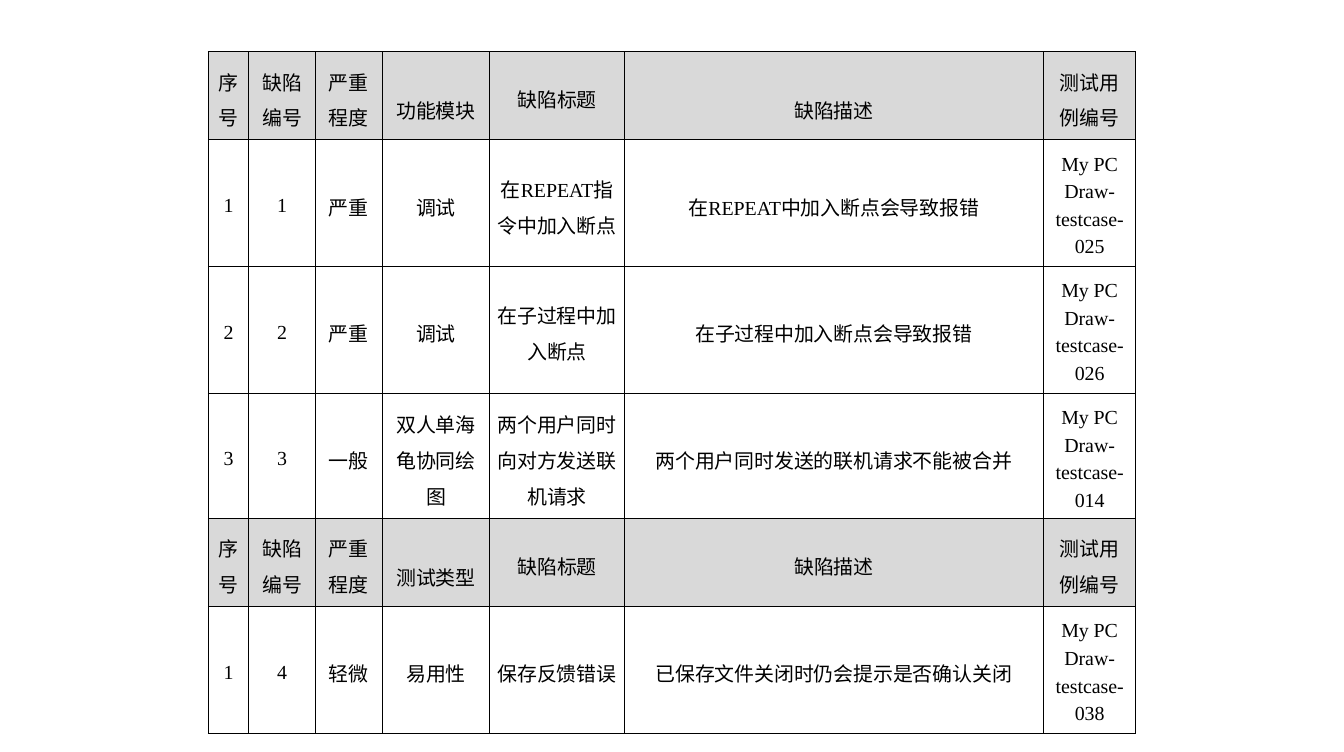
from dataclasses import dataclass
from itertools import groupby

from lxml import etree
from pptx import Presentation
from pptx.dml.color import RGBColor
from pptx.enum.text import MSO_ANCHOR, PP_ALIGN
from pptx.oxml.ns import qn
from pptx.util import Cm, Pt

CENTER = PP_ALIGN.CENTER
MIDDLE = MSO_ANCHOR.MIDDLE

BLACK = RGBColor(0x00, 0x00, 0x00)
WHITE = RGBColor(0xFF, 0xFF, 0xFF)
HEADER_GRAY = RGBColor(0xD9, 0xD9, 0xD9)

CHINESE_FONT = "Noto Sans CJK SC"
LATIN_FONT = "Times New Roman"

TABLE_LEFT = 3.87
COLUMN_WIDTHS = (0.75, 1.24, 1.24, 2, 2.5, 7.79, 1.71)
HEADER_HEIGHT = 1.61
BODY_HEIGHT = 2.33
SIDE_MARGIN = 0.13
END_MARGIN = 0.15
HEADER_DROP = 0.41


@dataclass(frozen=True)
class Defect:
    number: str
    defect_id: str
    severity: str
    category: str
    title: str
    description: str
    case_number: str

    def texts(self) -> tuple[str, ...]:
        return (self.number, self.defect_id, self.severity, self.category,
                self.title, self.description,
                f"My PC Draw-testcase-{self.case_number}")


@dataclass(frozen=True)
class DefectTable:
    top: float
    category_label: str
    lowered_labels: tuple[str, ...]
    defects: tuple[Defect, ...]

    def header(self) -> tuple[str, ...]:
        return ("序\n号", "缺陷\n编号", "严重程度", self.category_label,
                "缺陷标题", "缺陷描述", "测试用例编号")


TABLES = (
    DefectTable(0.96, "功能模块", ("功能模块", "缺陷描述"), (
        Defect("1", "1", "严重", "调试", "在REPEAT指令中加入断点",
               "在REPEAT中加入断点会导致报错", "025"),
        Defect("2", "2", "严重", "调试", "在子过程中加入断点",
               "在子过程中加入断点会导致报错", "026"),
        Defect("3", "3", "一般", "双人单海龟协同绘图",
               "两个用户同时向对方发送联机请求",
               "两个用户同时发送的联机请求不能被合并", "014"),
    )),
    DefectTable(9.63, "测试类型", ("测试类型",), (
        Defect("1", "4", "轻微", "易用性", "保存反馈错误",
               "已保存文件关闭时仍会提示是否确认关闭", "038"),
    )),
)


def add_borders(cell) -> None:
    properties = cell._tc.get_or_add_tcPr()
    for position, side in enumerate(("a:lnL", "a:lnR", "a:lnT", "a:lnB")):
        line = etree.Element(qn(side), w=str(Pt(0.5)))
        fill = etree.SubElement(line, qn("a:solidFill"))
        etree.SubElement(fill, qn("a:srgbClr"), val=str(BLACK))
        properties.insert(position, line)


def write_text(frame, text: str, *, size: float = 10.5,
               color: RGBColor = BLACK, spacing: float = 1.25) -> None:
    """Write one paragraph per line, with separate Chinese and Latin runs."""
    for index, line in enumerate(text.split("\n")):
        para = frame.paragraphs[0] if index == 0 else frame.add_paragraph()
        para.alignment = CENTER
        para.line_spacing = spacing
        for is_latin, letters in groupby(line, key=str.isascii):
            span = para.add_run()
            span.text = "".join(letters)
            span.font.size = Pt(size)
            span.font.color.rgb = color
            span.font.name = LATIN_FONT if is_latin else CHINESE_FONT
            etree.SubElement(span.font._element, qn("a:ea"),
                             typeface=span.font.name)


def format_cell(cell, text: str, *, fill: RGBColor, drop: float = 0) -> None:
    cell.vertical_anchor = MIDDLE
    cell.margin_left = cell.margin_right = Cm(SIDE_MARGIN)
    cell.margin_top = Cm(END_MARGIN + drop)
    cell.margin_bottom = Cm(END_MARGIN)
    cell.fill.solid()
    cell.fill.fore_color.rgb = fill
    add_borders(cell)
    write_text(cell.text_frame, text)


def draw_table(page, content: DefectTable) -> None:
    heights = [HEADER_HEIGHT] + [BODY_HEIGHT] * len(content.defects)
    table = page.shapes.add_table(
        len(heights), len(COLUMN_WIDTHS), Cm(TABLE_LEFT), Cm(content.top),
        Cm(sum(COLUMN_WIDTHS)), Cm(sum(heights))).table
    table.first_row = table.horz_banding = False
    for column, width in zip(table.columns, COLUMN_WIDTHS):
        column.width = Cm(width)
    for row, height in zip(table.rows, heights):
        row.height = Cm(height)

    for cell, label in zip(table.rows[0].cells, content.header()):
        drop = HEADER_DROP if label in content.lowered_labels else 0
        format_cell(cell, label, fill=HEADER_GRAY, drop=drop)
    for index, defect in enumerate(content.defects, start=1):
        for cell, text in zip(table.rows[index].cells, defect.texts()):
            format_cell(cell, text, fill=WHITE)


def main() -> None:
    deck = Presentation()
    deck.slide_width, deck.slide_height = Cm(24.97), Cm(13.97)
    page = deck.slides.add_slide(deck.slide_layouts.get_by_name("Blank"))
    for content in TABLES:
        draw_table(page, content)
    deck.save("out.pptx")


if __name__ == "__main__":
    main()
